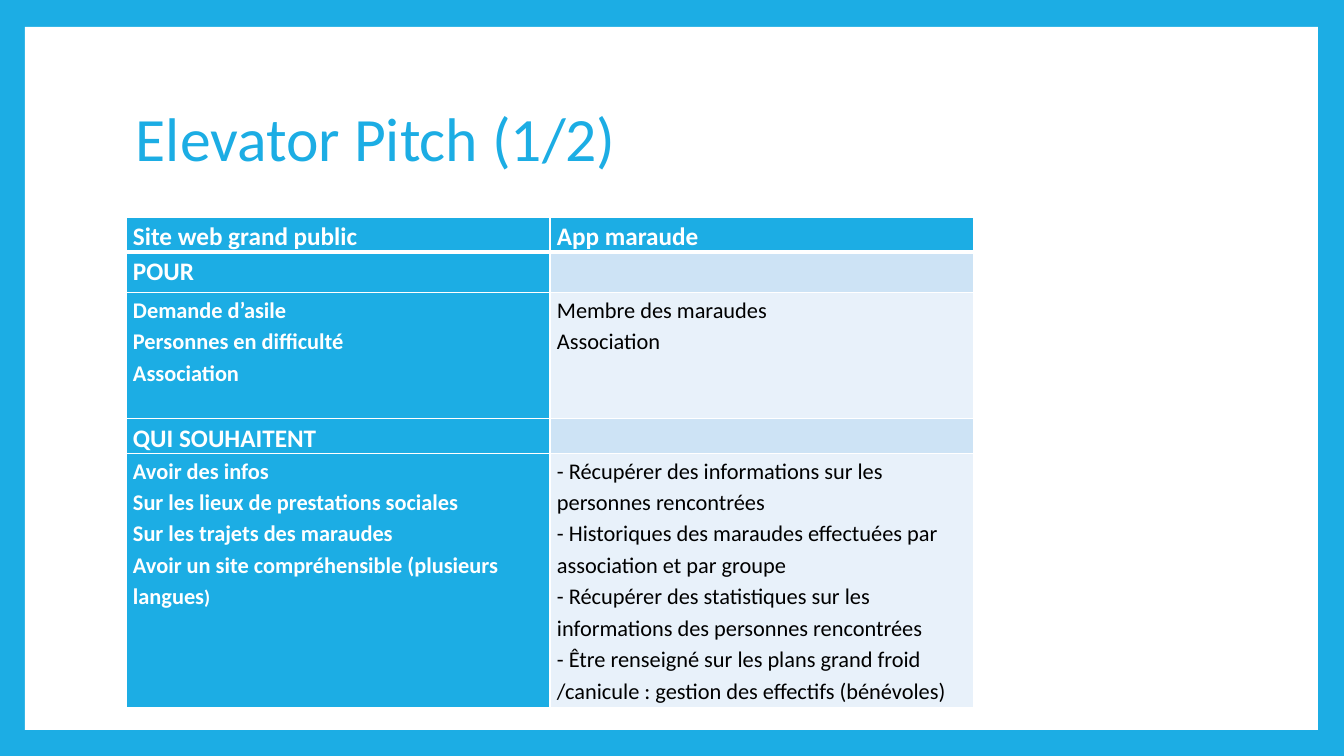
import pptx
import pptx.dml.color
import pptx.enum.shapes
import pptx.enum.text
import pptx.oxml
import pptx.oxml.ns
import pptx.util

SCALE = 914400 / 100.8
FONT = "Calibri"
BLUE, WHITE, BLACK = "1CADE4", "FFFFFF", "000000"
DARK, LIGHT = "CDE3F5", "E8F1FA"

# Row height, text size, fill of the right cell, left lines, right lines
ROWS = [
    (30, 18, BLUE, ["Site web grand public"], ["App maraude"]),
    (41, 18, DARK, ["POUR"], []),
    (126, 16, LIGHT,
     ["Demande d’asile", "Personnes en difficulté", "Association"],
     ["Membre des maraudes", "Association"]),
    (34, 18, DARK, ["QUI SOUHAITENT"], []),
    (254, 16, LIGHT,
     ["Avoir des infos",
      "Sur les lieux de prestations sociales",
      "Sur les trajets des maraudes",
      "Avoir un site compréhensible (plusieurs langues"],
     ["- Récupérer des informations sur les personnes rencontrées",
      "- Historiques des maraudes effectuées par association et par groupe",
      "- Récupérer des statistiques sur les informations des personnes rencontrées",
      "- Être renseigné sur les plans grand froid /canicule\u00a0: "
      "gestion des effectifs (bénévoles)"]),
]


def px(num):
    return pptx.util.Emu(round(num * SCALE))


def color(code):
    return pptx.dml.color.RGBColor.from_string(code)


def paint(fill, code):
    fill.solid()
    fill.fore_color.rgb = color(code)


def style(para, size, code, bold=False, space=1.15):
    para.line_spacing = space
    font = para.font
    font.name = FONT
    font.size = pptx.util.Pt(size)
    font.bold = bold
    font.color.rgb = color(code)


def add_panel(slide, left, top, width, height):
    panel = slide.shapes.add_shape(
        pptx.enum.shapes.MSO_SHAPE.RECTANGLE,
        px(left), px(top), px(width), px(height))
    panel.shadow.inherit = False
    paint(panel.fill, WHITE)
    panel.line.fill.background()


def add_title(slide, text, left, top, width, height):
    box = slide.shapes.add_textbox(px(left), px(top), px(width), px(height))
    frame = box.text_frame
    frame.word_wrap = True
    frame.vertical_anchor = pptx.enum.text.MSO_ANCHOR.MIDDLE
    frame.text = text
    style(frame.paragraphs[0], 44, BLUE, space=0.9)


def add_edges(cell, base):
    """Draw white borders; base is the width of the bottom one in points."""
    props = cell._tc.get_or_add_tcPr()
    space = pptx.oxml.ns.nsdecls("a")
    for spot, (side, width) in enumerate(
            [("L", 1), ("R", 1), ("T", 1), ("B", base)]):
        props.insert(spot, pptx.oxml.parse_xml(
            f'<a:ln{side} {space} w="{pptx.util.Pt(width)}"><a:solidFill>'
            f'<a:srgbClr val="{WHITE}"/></a:solidFill></a:ln{side}>'))


def fill_cell(cell, lines, size, code, back):
    cell.margin_left = cell.margin_right = px(7)
    cell.margin_top = cell.margin_bottom = 0
    paint(cell.fill, back)
    cell.text = "\n".join(lines)
    for para in cell.text_frame.paragraphs:
        style(para, size, code, bold=code == WHITE)


def add_grid(slide, left, top, width):
    height = sum(row[0] for row in ROWS)
    grid = slide.shapes.add_table(
        len(ROWS), 2, px(left), px(top), px(width), px(height)).table
    grid.horz_banding = False
    grid.first_row = False
    for num, (high, size, back, *texts) in enumerate(ROWS):
        grid.rows[num].height = px(high)
        for col, lines in enumerate(texts):
            cell = grid.cell(num, col)
            fresh = BLUE if col == 0 else back
            ink = WHITE if fresh == BLUE else BLACK
            fill_cell(cell, lines, size, ink, fresh)
            add_edges(cell, 3 if num == 0 else 1)
    return grid


def main():
    deck = pptx.Presentation()
    deck.slide_width, deck.slide_height = px(1344), px(756)
    slide = deck.slides.add_slide(deck.slide_layouts[6])
    paint(slide.background.fill, BLUE)
    add_panel(slide, 25, 27, 1293, 703)
    add_title(slide, "Elevator Pitch (1/2)", 126, 67, 1089, 149)
    grid = add_grid(slide, 126, 217, 848)
    last = grid.cell(len(ROWS) - 1, 0).text_frame.paragraphs[-1]
    close = last.add_run()
    close.text = ")"
    close.font.size = pptx.util.Pt(14)
    deck.save("out.pptx")


if __name__ == "__main__":
    main()
